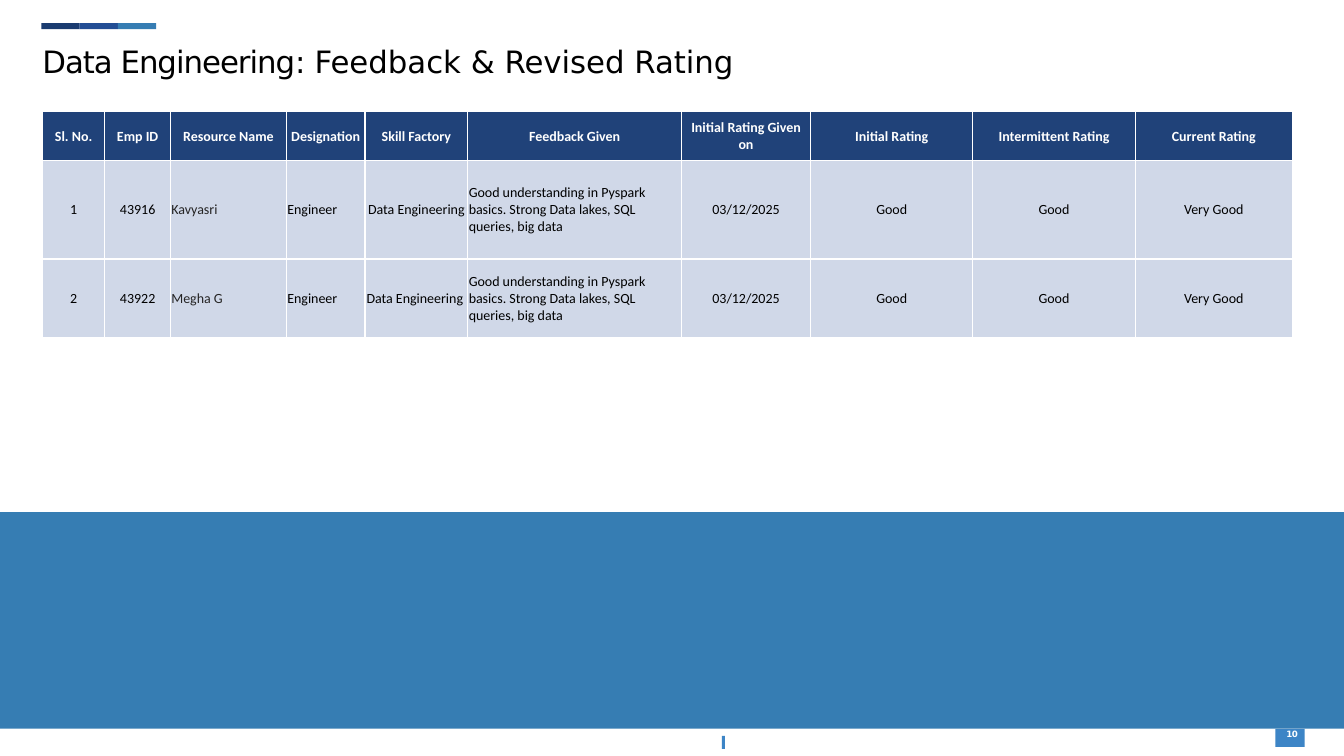
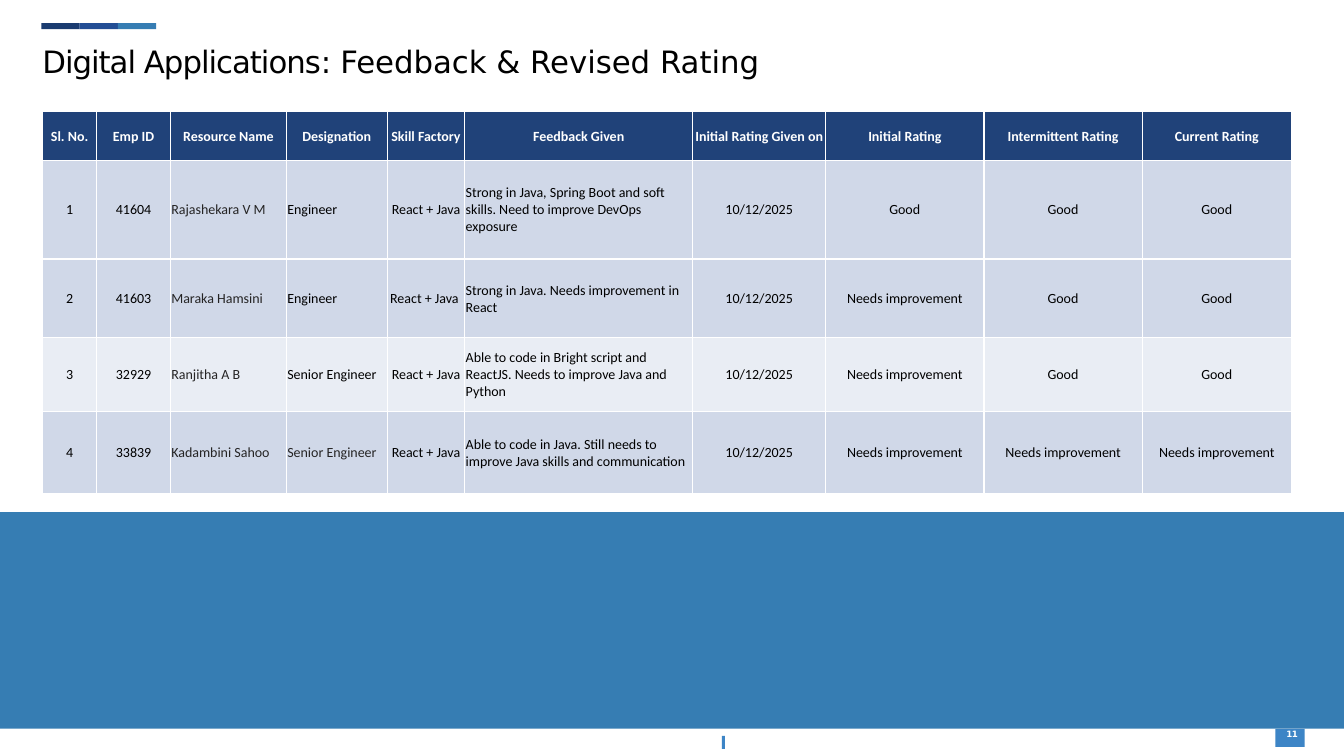
from dataclasses import dataclass
from lxml.etree import SubElement as Sub
from pptx import Presentation
from pptx.dml.color import RGBColor as RGB
from pptx.enum.shapes import MSO_SHAPE as Shape
from pptx.enum.text import MSO_ANCHOR as Anchor, PP_ALIGN as Align
from pptx.oxml.ns import qn
from pptx.util import Inches, Pt


@dataclass(frozen=True)
class Theme:
    navy: str = "1A3B70"
    royal: str = "234E95"
    blue: str = "367DB3"
    sky: str = "3D85C6"
    head: str = "204279"
    dark: str = "D0D8E8"
    pale: str = "E9EDF4"
    white: str = "FFFFFF"
    black: str = "000000"
    gray: str = "252424"
    sans: str = "DejaVu Sans"
    body: str = "Calibri"
    title: float = 22
    cell: float = 10
    page: float = 6.2


T = Theme()


def style(para, face, size, color, bold=False):
    font = para.font
    font.name, font.size, font.bold = face, Pt(size), bold
    font.color.rgb = RGB.from_string(color)


def write(slide, box, parts, face, size, color, bold=False):
    frame = slide.shapes.add_textbox(*map(Inches, box)).text_frame
    frame.word_wrap = True
    frame.margin_left = frame.margin_right = 0
    frame.margin_top = frame.margin_bottom = 0
    para = frame.paragraphs[0]
    style(para, face, size, color, bold)
    for text, gap in parts:
        run = para.add_run()
        run.text = text
        run._r.get_or_add_rPr().set("spc", str(gap))


bands = [
    (7.16, 7.3, 0.03, 0.13, T.sky),
    (12.65, 7.23, 0.29, 0.18, T.sky),
    (0, 5.08, 13.33, 2.15, T.blue),
]
for i, color in enumerate([T.navy, T.royal, T.blue]):
    bands.append((0.41 + i * 0.38, 0.23, 0.38, 0.06, color))

heads = ["Sl. No.", "Emp ID", "Resource Name", "Designation", "Skill Factory",
         "Feedback Given", "Initial Rating Given on", "Initial Rating",
         "Intermittent Rating", "Current Rating"]
highs = [0.48, 0.98, 0.78, 0.73, 0.82]
left_cols = {2, 3, 5}
name_col = 2
grays = {("Kadambini Sahoo", 3)}

skills = "Good understanding in Pyspark basics. Strong Data lakes, SQL queries, big data"
decks = [
    ("Data Engineering", 10,
     [0.62, 0.65, 1.15, 0.78, 1.02, 2.12, 1.28, 1.61, 1.61, 1.56],
     [["1", "43916", "Kavyasri", "Engineer", "Data Engineering", skills,
       "03/12/2025", "Good", "Good", "Very Good"],
      ["2", "43922", "Megha G", "Engineer", "Data Engineering ", skills,
       "03/12/2025", "Good", "Good", "Very Good"]]),
    ("Digital Applications", 11,
     [0.54, 0.73, 1.15, 1, 0.77, 2.26, 1.32, 1.57, 1.57, 1.48],
     [["1", "41604", "Rajashekara V M", "Engineer", "React + Java",
       "Strong in Java, Spring Boot and soft skills. Need to improve DevOps exposure",
       "10/12/2025", "Good", "Good", "Good"],
      ["2", "41603", "Maraka Hamsini", "Engineer", "React + Java ",
       "Strong in Java. Needs improvement in React",
       "10/12/2025", "Needs improvement", "Good", "Good"],
      ["3", "32929", "Ranjitha A B", "Senior Engineer", "React + Java",
       "Able to code in Bright script and ReactJS. Needs to improve Java and Python",
       "10/12/2025", "Needs improvement", "Good", "Good"],
      ["4", "33839", "Kadambini Sahoo", "Senior Engineer", "React + Java",
       "Able to code in Java. Still needs to improve Java skills and communication",
       "10/12/2025", "Needs improvement", "Needs improvement", "Needs improvement"]]),
]

prs = Presentation()
prs.slide_width, prs.slide_height = Inches(13.33), Inches(7.5)

for topic, page, wides, rows in decks:
    slide = prs.slides.add_slide(prs.slide_layouts[6])
    for *box, color in bands:
        band = slide.shapes.add_shape(Shape.RECTANGLE, *map(Inches, box))
        band.shadow.inherit = False
        band.fill.solid()
        band.fill.fore_color.rgb = RGB.from_string(color)
        band.line.fill.background()

    write(slide, (0.42, 0.42, 12.18, 0.47),
          [(topic, -70), (": ", -50), ("Feedback & Revised Rating", 0)],
          T.sans, T.title, T.black)
    write(slide, (12.76, 7.23, 0.16, 0.16), [(str(page), -50)],
          T.sans, T.page, T.white, True)

    grid = [heads] + rows
    tall = highs[:len(grid)]
    table = slide.shapes.add_table(
        len(grid), len(heads), Inches(0.42), Inches(1.11),
        Inches(sum(wides)), Inches(sum(tall))).table
    table.horz_banding = False
    for col, wide in zip(table.columns, wides):
        col.width = Inches(wide)
    for row, high in zip(table.rows, tall):
        row.height = Inches(high)

    for r, line in enumerate(grid):
        for c, text in enumerate(line):
            cell = table.cell(r, c)
            cell.vertical_anchor = Anchor.MIDDLE
            cell.margin_left = cell.margin_right = cell.margin_top = Inches(0.01)
            cell.margin_bottom = 0
            props = cell._tc.get_or_add_tcPr()
            for side in ("a:lnL", "a:lnR", "a:lnT", "a:lnB"):
                edge = Sub(props, qn(side), w=str(Pt(1)))
                Sub(Sub(edge, qn("a:solidFill")), qn("a:srgbClr"), val=T.white)
            cell.fill.solid()
            fill = T.head if r == 0 else T.pale if r == 3 else T.dark
            cell.fill.fore_color.rgb = RGB.from_string(fill)

            cell.text = text
            para = cell.text_frame.paragraphs[0]
            para.alignment = Align.LEFT if r and c in left_cols else Align.CENTER
            soft = c == name_col or (line[name_col], c) in grays
            ink = T.white if r == 0 else T.gray if soft else T.black
            style(para, T.body, T.cell, ink, r == 0)

prs.save("out.pptx")
